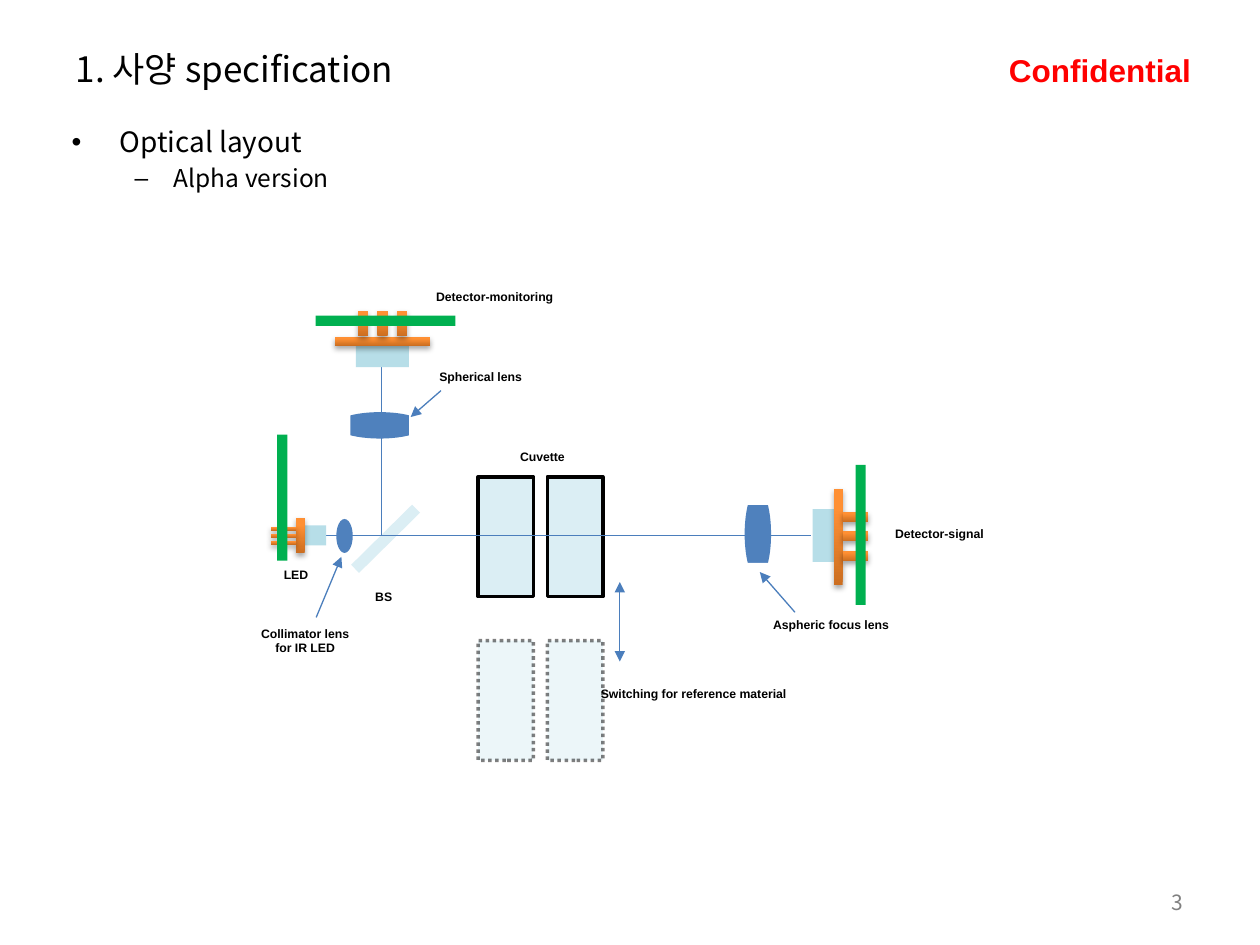
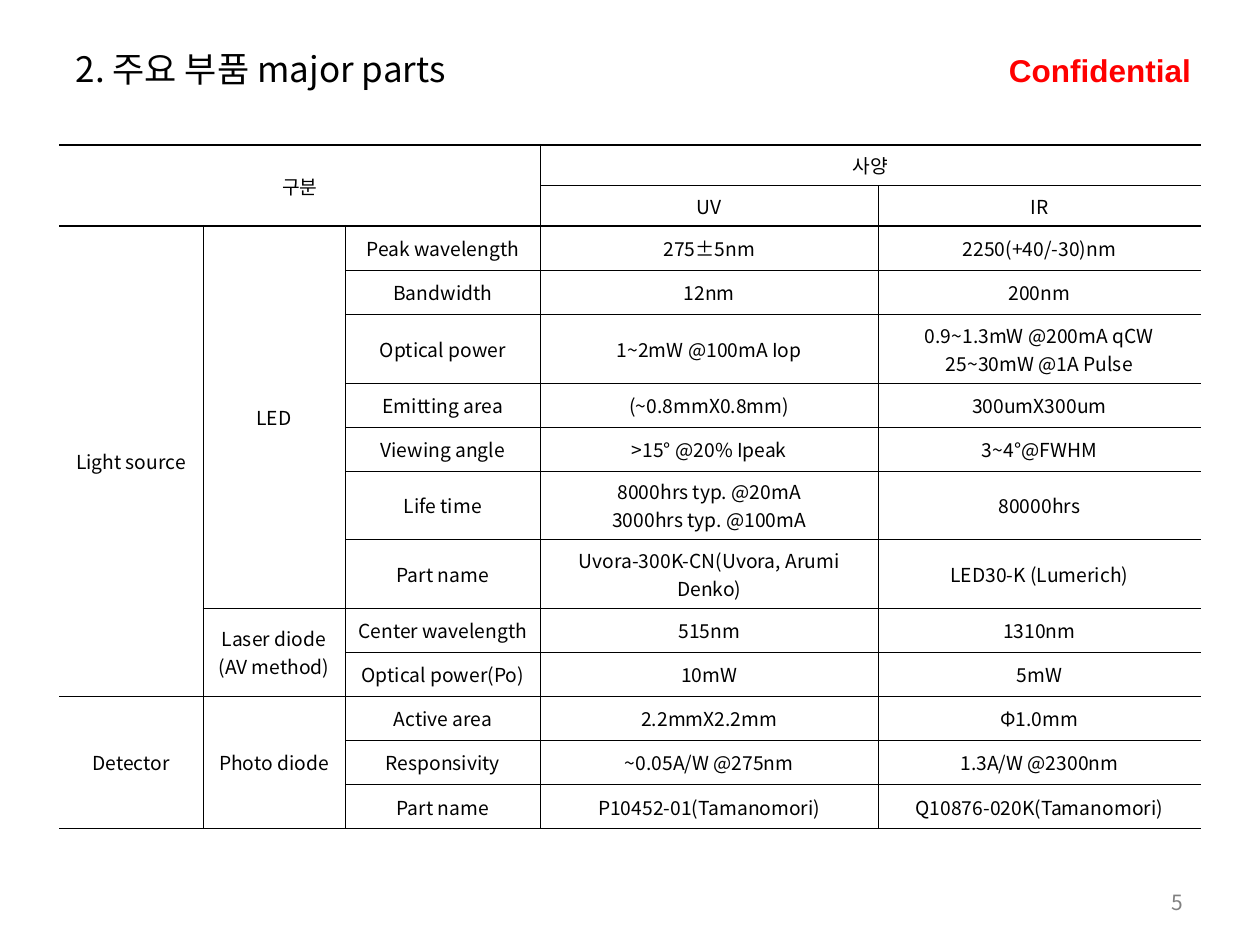
from dataclasses import dataclass

from lxml import etree
from pptx import Presentation
from pptx import util as u
from pptx.dml.color import RGBColor
from pptx.enum import dml, shapes, text
from pptx.oxml.ns import qn


@dataclass(frozen=True)
class Theme:
    main_font: str = "Noto Sans CJK KR"
    label_font: str = "Arial"
    ink: str = "000000"
    alert: str = "FF0000"
    muted: str = "808080"
    beam: str = "4B7EBC"
    lens: str = "4F81BD"
    glass: str = "DBEEF4"
    window: str = "B7DEE8"
    board: str = "00B050"
    metal_dark: str = "CC6E20"
    metal_light: str = "FF9034"
    paper: str = "FFFFFF"
    title_size: float = 20
    stamp_size: float = 18
    body_sizes: tuple = (16, 14)
    number_size: float = 12
    table_size: float = 11
    label_size: float = 7
    thin: float = 0.25
    thick: float = 1.5


THEME = Theme()
RECT, OVAL = shapes.MSO_SHAPE.RECTANGLE, shapes.MSO_SHAPE.OVAL
CENTER, RIGHT = text.PP_ALIGN.CENTER, text.PP_ALIGN.RIGHT
MIDDLE = text.MSO_ANCHOR.MIDDLE

# Table content: None marks a cell covered by a merge
PARTS = [
    ["구분", None, None, "사양", None],
    [None, None, None, "UV", "IR"],
    ["Light source", "LED", "Peak wavelength", "275±5nm", "2250(+40/-30)nm"],
    [None, None, "Bandwidth", "12nm", "200nm"],
    [None, None, "Optical power", "1~2mW @100mA Iop",
     "0.9~1.3mW @200mA qCW\n25~30mW @1A Pulse"],
    [None, None, "Emitting area", "(~0.8mmX0.8mm)", "300umX300um"],
    [None, None, "Viewing angle", ">15° @20% Ipeak", "3~4°@FWHM"],
    [None, None, "Life time", "8000hrs typ. @20mA\n3000hrs typ. @100mA", "80000hrs"],
    [None, None, "Part name", "Uvora-300K-CN(Uvora, Arumi Denko)", "LED30-K (Lumerich)"],
    [None, "Laser diode\n(AV method)", "Center wavelength", "515nm", "1310nm"],
    [None, None, "Optical power(Po)", "10mW", "5mW"],
    ["Detector", "Photo diode", "Active area", "2.2mmX2.2mm", "Φ1.0mm"],
    [None, None, "Responsivity", "~0.05A/W @275nm", "1.3A/W @2300nm"],
    [None, None, "Part name", "P10452-01(Tamanomori)", "Q10876-020K(Tamanomori)"],
]
# Merges: first row, first column, last row, last column
MERGES = [(0, 0, 1, 2), (0, 3, 0, 4), (2, 0, 10, 0), (2, 1, 8, 1),
          (9, 1, 10, 1), (11, 0, 13, 0), (11, 1, 13, 1)]
COLUMN_WIDTHS = [82.1, 81.4, 111.6, 193, 184.3]
HEADER_HEIGHT, ROW_HEIGHT, TALL_HEIGHT = 23.2, 25.2, 39.2
TALL_ROWS = (4, 7, 8)


def points(*lengths):
    return [u.Pt(length) for length in lengths]


def rgb(color):
    return RGBColor.from_string(color)


# --- Text ---
def style(para, size, font=THEME.main_font, color=THEME.ink, bold=False, align=None):
    para.alignment = align
    for span in para.runs:
        span.font.size, span.font.bold = u.Pt(size), bold
        span.font.color.rgb = rgb(color)
        span.font.name = font
        etree.SubElement(span.font._element, qn("a:ea"), typeface=font)


def add_text(page, words, place, wrap=True, anchor=None, **look):
    box = page.shapes.add_textbox(*points(*place))
    frame = box.text_frame
    frame.word_wrap, frame.vertical_anchor = wrap, anchor
    frame.text = words
    style(frame.paragraphs[0], **look)


def add_label(page, words, left, top, width, height=15.8):
    add_text(page, words, (left, top, width, height), size=THEME.label_size,
             font=THEME.label_font, bold=True, align=CENTER)


def fill_placeholder(holder, words, place):
    holder.left, holder.top, holder.width, holder.height = points(*place)
    holder.text_frame.text = words
    holder.text_frame.auto_size = text.MSO_AUTO_SIZE.NONE
    return holder.text_frame


def add_bullets(page, lines):
    frame = fill_placeholder(page.placeholders[1], "\n".join(lines), (33.8, 67.7, 648, 433.4))
    marks = [("•", 27.4, -27.4), ("–", 58.3, -22.3)]
    for level, (para, (mark, margin, indent)) in enumerate(zip(frame.paragraphs, marks)):
        para.level = level
        props = para._p.get_or_add_pPr()
        props.set("marL", str(u.Pt(margin)))
        props.set("indent", str(u.Pt(indent)))
        etree.SubElement(props, qn("a:buChar"), char=mark)
        size = THEME.body_sizes[level]
        para.space_before = u.Pt(0.2 * size if level else 0)
        style(para, size)


def add_page(deck, layout, title, number):
    page = deck.slides.add_slide(deck.slide_layouts[layout])
    add_text(page, "Confidential", (569.5, 25.9, 119.5, 28.8), wrap=False,
             size=THEME.stamp_size, font=THEME.label_font, color=THEME.alert, bold=True)
    frame = fill_placeholder(page.shapes.title, title, (36, 21.6, 648, 34.6))
    frame.vertical_anchor = MIDDLE
    style(frame.paragraphs[0], THEME.title_size, align=text.PP_ALIGN.LEFT)
    add_text(page, number, (515.5, 504, 167.8, 23), anchor=MIDDLE,
             size=THEME.number_size, color=THEME.muted, align=RIGHT)
    return page


# --- Optical parts ---
def add_part(page, place, color, kind=RECT):
    part = page.shapes.add_shape(kind, *points(*place))
    part.shadow.inherit = False
    part.fill.solid()
    part.fill.fore_color.rgb = rgb(color)
    part.line.fill.background()
    return part


def add_metal(page, place):
    part = add_part(page, place, THEME.metal_light)
    part.fill.gradient()
    part.fill.gradient_angle = 90
    dark, light = part.fill.gradient_stops
    dark.color.rgb, light.color.rgb = rgb(THEME.metal_dark), rgb(THEME.metal_light)
    light.position = 0.8
    effects = part._element.spPr.find(qn("a:effectLst"))
    shadow = etree.SubElement(effects, qn("a:outerShdw"), blurRad=str(u.Pt(3.1)),
                              dist=str(u.Pt(1.8)), dir="5400000", rotWithShape="0")
    tint = etree.SubElement(shadow, qn("a:srgbClr"), val=THEME.ink)
    etree.SubElement(tint, qn("a:alpha"), val="35000")


def add_diode(page, window, plate, pin, pin_step, board):
    """Window, metal plate, three pins and the circuit board across them."""
    add_part(page, window, THEME.window)
    add_metal(page, plate)
    left, top, width, height = pin
    for i in range(3):
        add_metal(page, (left + i * pin_step[0], top + i * pin_step[1], width, height))
    add_part(page, board, THEME.board)


def add_cut_lens(page, place, cut):
    """Ellipse whose two far ends are trimmed flat by paper-coloured covers."""
    add_part(page, place, THEME.lens, OVAL)
    left, top, width, height = place
    if width > height:
        covers = [(x, top - 1, cut + 1, height + 2)
                  for x in (left - 1, left + width - cut)]
    else:
        covers = [(left - 1, y, width + 2, cut + 1)
                  for y in (top - 1, top + height - cut)]
    for cover in covers:
        add_part(page, cover, THEME.paper)


def add_cuvette(page, left, top, reference=False):
    cell = add_part(page, (left, top, 31.7, 68.4), THEME.glass)
    cell.line.color.rgb, cell.line.width = rgb(THEME.ink), u.Pt(2)
    if reference:
        cell.line.dash_style = dml.MSO_LINE.ROUND_DOT
        for tint in cell._element.spPr.iter(qn("a:srgbClr")):
            etree.SubElement(tint, qn("a:alpha"), val="50000")


def add_line(page, start, end, heads=()):
    line = page.shapes.add_connector(shapes.MSO_CONNECTOR.STRAIGHT, *points(*start, *end))
    line.line.color.rgb, line.line.width = rgb(THEME.beam), u.Pt(0.75)
    props = line._element.spPr
    for head in heads:
        etree.SubElement(props.find(qn("a:ln")), qn(f"a:{head}"), type="triangle")
    etree.SubElement(props, qn("a:effectLst"))


def draw_layout(page):
    # Beam splitter, cuvettes and beams
    splitter = add_part(page, (195.8, 304.6, 49, 6.5), THEME.glass)
    splitter.rotation = 135.4
    for top, reference in ((272.5, False), (366.1, True)):
        for left in (273.2, 312.8):
            add_cuvette(page, left, top, reference)
    add_line(page, (186.5, 306), (463.7, 306))
    add_line(page, (218.2, 306), (218.2, 197.3))

    # LED, signal detector, monitoring detector
    add_diode(page, (174.2, 300.2, 12.2, 11.5), (169.2, 295.9, 5, 20.2),
              (154.8, 301, 14.4, 2.2), (0, 4), (158.4, 248.4, 5.8, 72))
    add_diode(page, (464.4, 290.9, 12.2, 30.2), (476.6, 279.4, 5, 54.7),
              (481.7, 292.3, 14.4, 5.8), (0, 11.2), (488.9, 265.7, 5.8, 79.9))
    add_diode(page, (203.4, 197.6, 30.2, 12.2), (191.2, 192.6, 54.7, 5),
              (204.5, 177.8, 5.8, 14.4), (11.2, 0), (180.4, 180.4, 79.9, 5.8))

    # Lenses
    add_part(page, (192.2, 296.6, 9.4, 19.4), THEME.lens, OVAL)
    add_cut_lens(page, (425.5, 279.6, 15.1, 51.1), 9)
    add_cut_lens(page, (191.5, 235.5, 51.1, 15.1), 8.8)

    # Labels and pointers
    for label in [("LED", 134.6, 320.4, 69.1), ("Detector-monitoring", 221.8, 162, 121.7),
                  ("Detector-signal", 492.5, 297.4, 88.6), ("Cuvette", 277.9, 253.4, 64.1),
                  ("BS", 187.2, 333.4, 64.1), ("Spherical lens", 213.8, 207.4, 121.7),
                  ("Aspheric focus lens", 414, 349.2, 121.7),
                  ("Collimator lens for IR LED", 139, 354.2, 70.6, 24.5),
                  ("Switching for reference material", 335.5, 388.8, 121.7, 24.5)]:
        add_label(page, *label)
    for start, end in [((252, 223.2), (234.7, 238.3)), ((454.3, 349.9), (434.2, 326.9)),
                       ((180.7, 352.8), (195.1, 318.2))]:
        add_line(page, start, end, ["tailEnd"])
    add_line(page, (354.2, 332.6), (354.2, 378), ["headEnd", "tailEnd"])


# --- Parts table ---
def rule_weight(row_line):
    return {0: THEME.thick, 2: THEME.thick, len(PARTS): 1}.get(row_line, THEME.thin)


def column_weight(column_line):
    return THEME.thin if 0 < column_line < len(COLUMN_WIDTHS) else 0


def set_borders(cell, weights):
    for side, weight in zip("LRTB", weights):
        edge = etree.SubElement(cell._tc.get_or_add_tcPr(), qn(f"a:ln{side}"), w=str(u.Pt(weight)))
        if weight:
            etree.SubElement(etree.SubElement(edge, qn("a:solidFill")),
                             qn("a:srgbClr"), val=THEME.ink)
        else:
            etree.SubElement(edge, qn("a:noFill"))


def add_parts_table(page):
    heights = [HEADER_HEIGHT if r < 2 else TALL_HEIGHT if r in TALL_ROWS else ROW_HEIGHT
               for r in range(len(PARTS))]
    place = points(33.8, 82.8, sum(COLUMN_WIDTHS), sum(heights))
    table = page.shapes.add_table(len(PARTS), len(COLUMN_WIDTHS), *place).table
    table.first_row = table.horz_banding = False
    for column, width in zip(table.columns, COLUMN_WIDTHS):
        column.width = u.Pt(width)
    for row, height in zip(table.rows, heights):
        row.height = u.Pt(height)
    for top, left, bottom, right in MERGES:
        table.cell(top, left).merge(table.cell(bottom, right))
    for r, row in enumerate(PARTS):
        for c, words in enumerate(row):
            cell = table.cell(r, c)
            if words:
                cell.text = words
                cell.vertical_anchor = MIDDLE
                for para in cell.text_frame.paragraphs:
                    style(para, THEME.table_size, align=CENTER)
                set_borders(cell, (column_weight(c), column_weight(c + cell.span_width),
                                   rule_weight(r), rule_weight(r + cell.span_height)))
            cell.fill.background()


def main():
    deck = Presentation()
    deck.slide_width, deck.slide_height = points(720, 540)

    # Optical layout
    page = add_page(deck, 1, "1. 사양 specification", "3")
    add_bullets(page, ["Optical layout", "Alpha version"])
    draw_layout(page)

    # Major parts
    page = add_page(deck, 5, "2. 주요 부품 major parts", "5")
    add_parts_table(page)

    deck.save("out.pptx")


if __name__ == "__main__":
    main()
